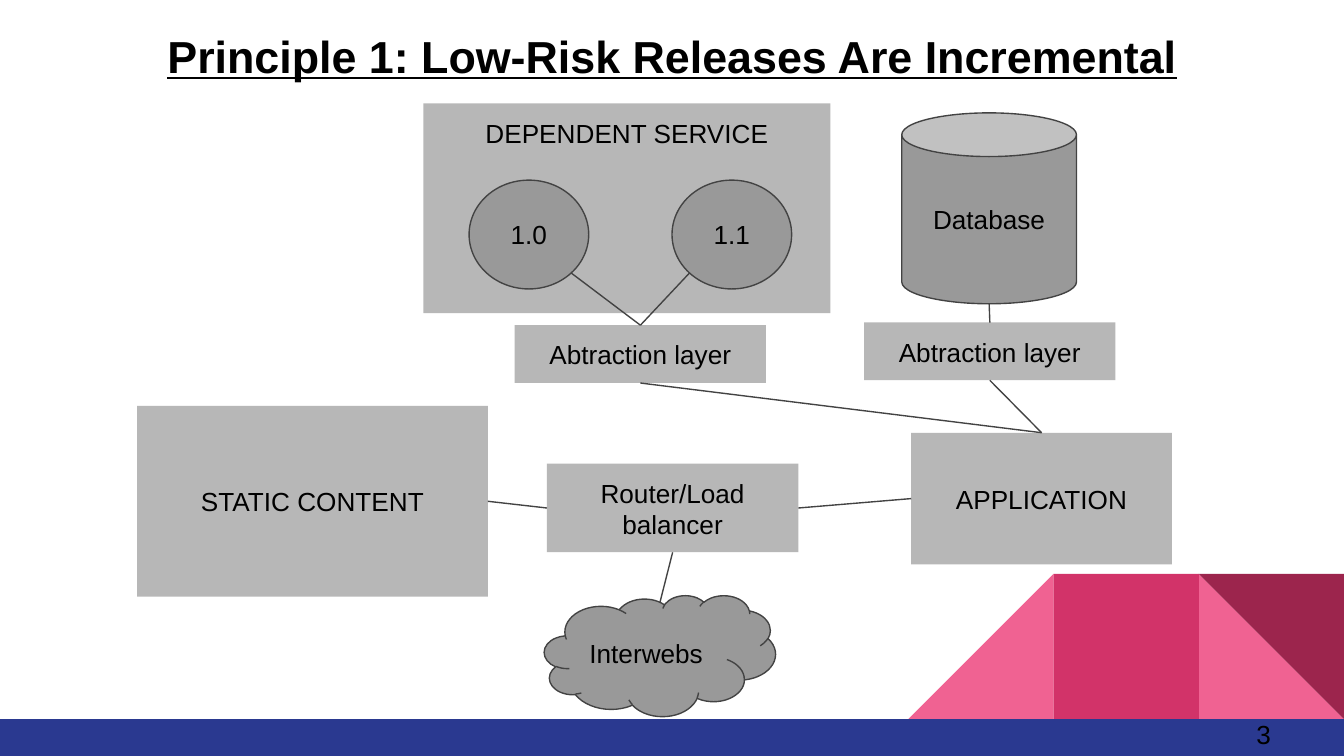
from math import sqrt

from lxml.etree import SubElement
from pptx import Presentation
from pptx.dml.color import RGBColor
from pptx.enum.shapes import MSO_CONNECTOR as Connector, MSO_SHAPE as Shape
from pptx.enum.text import MSO_ANCHOR as Anchor, MSO_AUTO_SIZE as AutoSize, PP_ALIGN as Align
from pptx.oxml.ns import qn
from pptx.util import Inches, Pt

COLORS = {
    "black": "000000", "box": "B7B7B7", "node": "999999", "outline": "434343",
    "pink": "F06292", "rose": "D23369", "wine": "9C254D", "navy": "2A3990",
}
WIDTH = 10
HEIGHT = WIDTH * 9 / 16
BAND_TOP = 5.35
TILE = 1.08
TITLE = "Principle 1: Low-Risk Releases Are Incremental"
PAGE = "3"

LAYER = (1.87, 0.43)
VERSION = (0.89, 0.81)
PARTS = {
    "service": ("DEPENDENT SERVICE", Shape.RECTANGLE, 3.15, 0.77, 3.03, 1.56, Anchor.TOP),
    "old": ("1.0", Shape.OVAL, 3.49, 1.34, *VERSION, Anchor.MIDDLE),
    "new": ("1.1", Shape.OVAL, 5, 1.34, *VERSION, Anchor.MIDDLE),
    "service layer": ("Abtraction layer", Shape.RECTANGLE, 3.83, 2.42, *LAYER, Anchor.TOP),
    "database": ("Database", Shape.CAN, 6.71, 0.84, 1.3, 1.42, Anchor.MIDDLE),
    "data layer": ("Abtraction layer", Shape.RECTANGLE, 6.43, 2.4, *LAYER, Anchor.TOP),
    "application": ("APPLICATION", Shape.RECTANGLE, 6.78, 3.22, 1.94, 0.98, Anchor.MIDDLE),
    "static": ("STATIC CONTENT", Shape.RECTANGLE, 1.02, 3.02, 2.61, 1.42, Anchor.MIDDLE),
    "web": ("Interwebs", Shape.CLOUD, 4.05, 4.43, 1.72, 0.9, Anchor.MIDDLE),
    "router": ("Router/Load balancer", Shape.RECTANGLE, 4.07, 3.45, 1.87, 0.66, Anchor.TOP),
}

TOP, LEFT, BOTTOM, RIGHT = range(4)
SIDES = {TOP: (0.5, 0), LEFT: (0, 0.5), BOTTOM: (0.5, 1), RIGHT: (1, 0.5)}
NEAR, FAR = 0.5 - sqrt(0.125), 0.5 + sqrt(0.125)
LINKS = [
    ("web", (0.5, 0.06), "router", BOTTOM),
    ("router", LEFT, "static", RIGHT),
    ("router", RIGHT, "application", LEFT),
    ("application", TOP, "data layer", BOTTOM),
    ("service layer", BOTTOM, "application", TOP),
    ("database", BOTTOM, "data layer", TOP),
    ("old", (FAR, FAR), "service layer", TOP),
    ("new", (NEAR, FAR), "service layer", TOP),
]


def color(name):
    return RGBColor.from_string(COLORS[name])


def write(shape, text, anchor, align=Align.CENTER, size=14):
    frame = shape.text_frame
    frame.text = text
    frame.word_wrap = True
    frame.auto_size = AutoSize.NONE
    frame.vertical_anchor = anchor
    frame.margin_left = frame.margin_right = Inches(0.1)
    frame.margin_top = frame.margin_bottom = Inches(0.1)
    paragraph = frame.paragraphs[0]
    paragraph.alignment = align
    font = paragraph.runs[0].font
    font.name, font.size = "Arial", Pt(size)
    font.color.rgb = color("black")
    return paragraph


def draw(slide, kind, box, fill, outlined=False):
    shape = slide.shapes.add_shape(kind, *map(Inches, box))
    shape.shadow.inherit = False
    shape.fill.solid()
    shape.fill.fore_color.rgb = color(fill)
    if outlined:
        shape.line.color.rgb = color("outline")
        shape.line.width = Pt(0.75)
    else:
        shape.line.fill.background()
    return shape


def decorate(slide):
    top = BAND_TOP - TILE
    far, middle, near = [WIDTH - n * TILE for n in (1, 2, 3)]
    draw(slide, Shape.RIGHT_TRIANGLE, (far, top, TILE, TILE), "pink")
    slope = draw(slide, Shape.RIGHT_TRIANGLE, (near, top, TILE, TILE), "pink")
    slope._element.spPr.find(qn("a:xfrm")).set("flipH", "1")
    draw(slide, Shape.RECTANGLE, (middle, top, TILE, TILE), "rose")
    draw(slide, Shape.RIGHT_TRIANGLE, (far, top, TILE, TILE), "wine").rotation = 180
    draw(slide, Shape.RECTANGLE, (0, BAND_TOP, WIDTH, HEIGHT - BAND_TOP), "navy")


def place_title(slide):
    title = slide.shapes.title
    title.left, title.top, title.width, title.height = map(Inches, (0.34, 0.03, 9.32, 0.66))
    paragraph = write(title, TITLE, Anchor.TOP, size=24)
    paragraph.line_spacing = 1.2
    paragraph.space_after = Pt(3)
    font = paragraph.runs[0].font
    font.bold = font.underline = True


def spot(part, place):
    across, down = SIDES.get(place, place)
    left, top, width, height = PARTS[part][2:6]
    return Inches(left + across * width), Inches(top + down * height)


def link(slide, shapes, start, start_place, end, end_place):
    line = slide.shapes.add_connector(
        Connector.STRAIGHT, *spot(start, start_place), *spot(end, end_place))
    if PARTS[start][1] == Shape.RECTANGLE:
        line.begin_connect(shapes[start], start_place)
    line.end_connect(shapes[end], end_place)
    line.line.color.rgb = color("outline")
    line.line.width = Pt(0.75)
    SubElement(line._element.spPr, qn("a:effectLst"))


def main():
    deck = Presentation()
    deck.slide_width, deck.slide_height = Inches(WIDTH), Inches(HEIGHT)
    slide = deck.slides.add_slide(deck.slide_layouts[5])
    decorate(slide)
    place_title(slide)
    page = slide.shapes.add_textbox(*map(Inches, (9.25, 5.25, 0.6, 0.43)))
    write(page, PAGE, Anchor.MIDDLE, Align.LEFT)

    shapes = {}
    for part, (label, kind, *box, anchor) in PARTS.items():
        boxed = kind == Shape.RECTANGLE
        shapes[part] = draw(slide, kind, box, "box" if boxed else "node", not boxed)
        align = Align.LEFT if kind == Shape.CLOUD else Align.CENTER
        write(shapes[part], label, anchor, align)
    for ends in LINKS:
        link(slide, shapes, *ends)
    deck.save("out.pptx")


if __name__ == "__main__":
    main()
